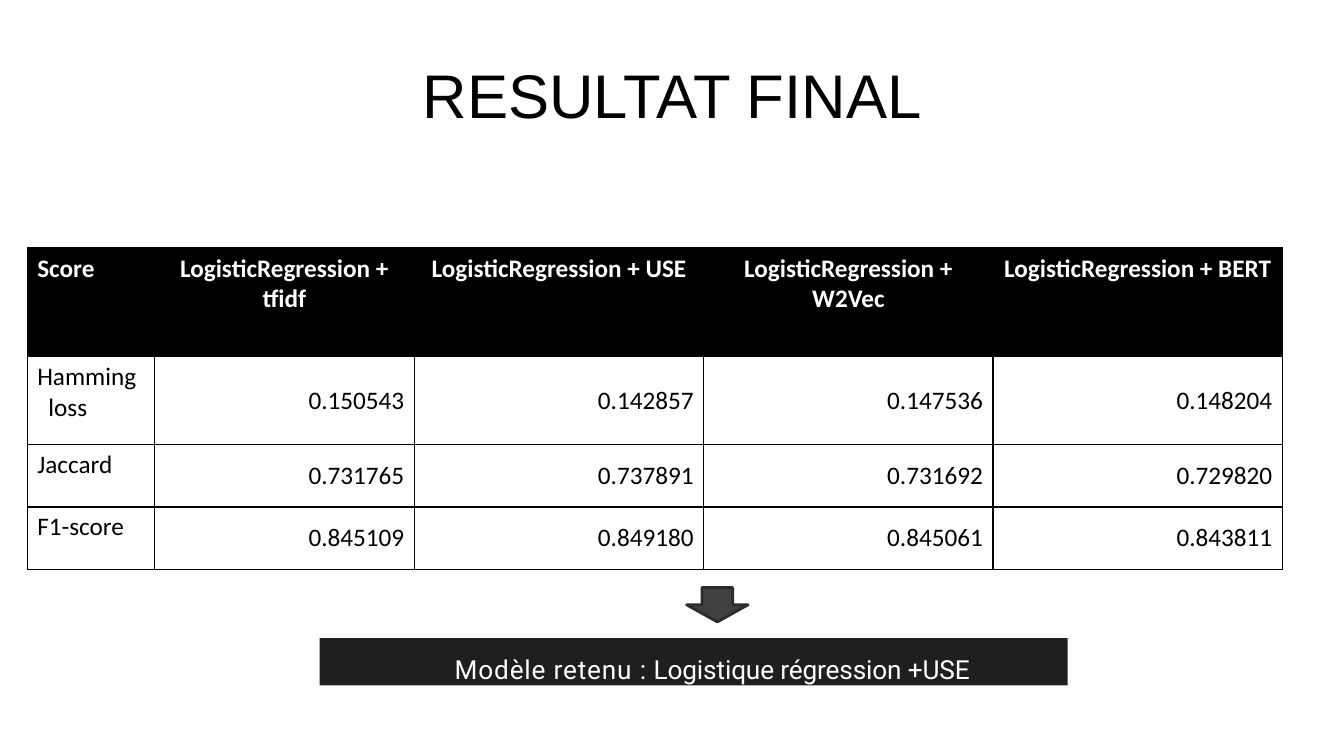
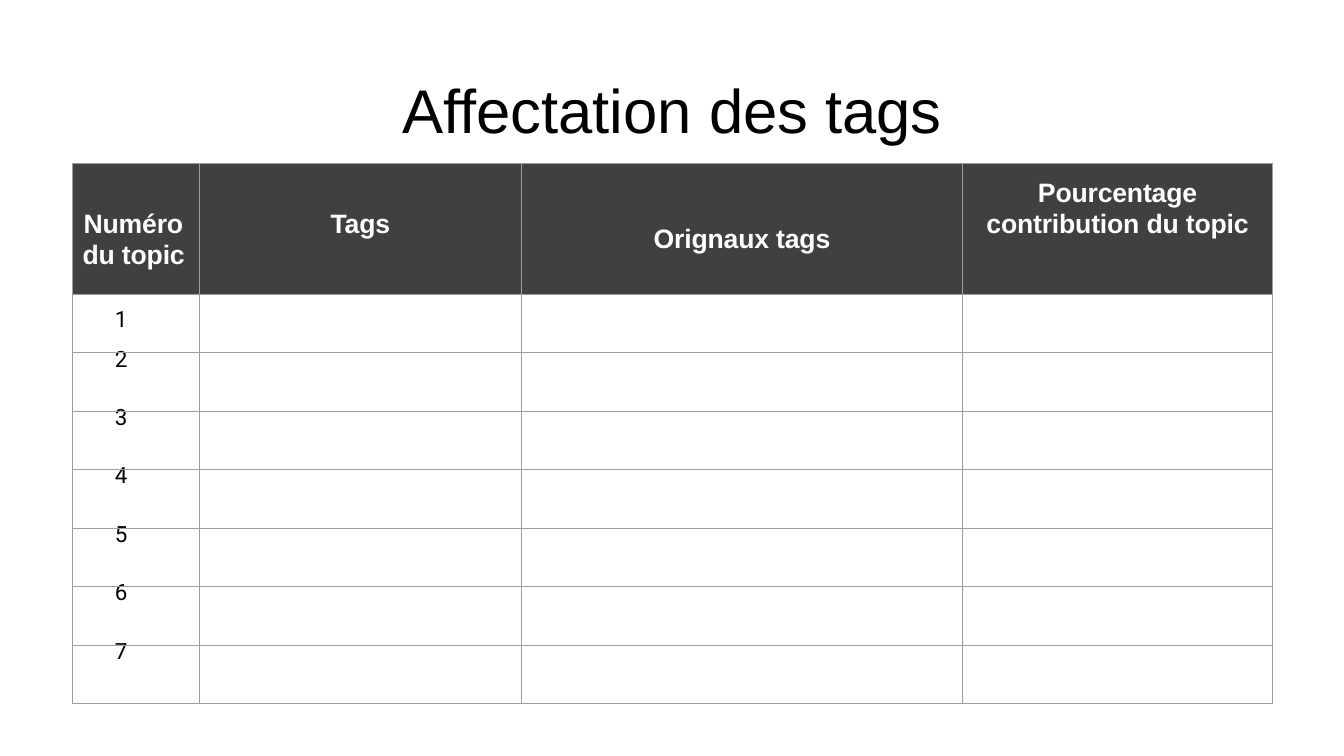
from dataclasses import dataclass, replace
from typing import Optional

import lxml.etree
import pptx
import pptx.dml.color
import pptx.enum.shapes
import pptx.enum.text
import pptx.oxml.ns
import pptx.util

Inches = pptx.util.Inches
Pt = pptx.util.Pt
Align = pptx.enum.text.PP_ALIGN
Anchor = pptx.enum.text.MSO_ANCHOR


@dataclass(frozen=True)
class Theme:
    black: str = "000000"
    white: str = "FFFFFF"
    charcoal: str = "404040"
    arrow_edge: str = "2C2C2C"
    banner: str = "1F1F1F"
    grid: str = "9E9E9E"
    title_size: float = 44
    score_size: float = 18
    banner_size: float = 18.7
    topic_header_size: float = 19
    topic_size: float = 16
    title_font: str = "Arial"
    score_font: str = "Calibri"
    body_font: str = "Roboto"


THEME = Theme()


@dataclass(frozen=True)
class TextStyle:
    font: str
    size: float
    color: str
    bold: bool = False
    spacing: float = 0


@dataclass(frozen=True)
class Line:
    text: str
    align: Align = Align.LEFT
    indent: float = 0
    before: float = 0
    height: Optional[float] = None


@dataclass(frozen=True)
class Cell:
    lines: tuple[Line, ...]
    style: TextStyle
    fill: Optional[str] = None
    anchor: Anchor = Anchor.TOP
    top: float = 0.05
    side: float = 0.1


@dataclass(frozen=True)
class TableLayout:
    left: float
    top: float
    columns: tuple[float, ...]
    rows: tuple[float, ...]
    border_color: str
    border_width: float


TITLE = TextStyle(THEME.title_font, THEME.title_size, THEME.black)
SCORE = TextStyle(THEME.score_font, THEME.score_size, THEME.black)
SCORE_HEADER = replace(SCORE, color=THEME.white, bold=True)
BANNER = TextStyle(THEME.body_font, THEME.banner_size, THEME.white)
TOPIC = TextStyle(THEME.body_font, THEME.topic_size, THEME.black)
TOPIC_HEADER = TextStyle(THEME.title_font, THEME.topic_header_size, THEME.white, True, -0.1)

SCORE_TABLE = TableLayout(0.27, 2.46, (1.26, 2.58) + (2.87,) * 3, (1.08, 0.87, 0.62, 0.62), THEME.black, 1)
TOPIC_TABLE = TableLayout(0.72, 1.62, (1.26, 3.19, 4.38, 3.07), (1.3,) + (0.58,) * 7, THEME.grid, 0.75)

MODELS = ("tfidf", "USE", "W2Vec", "BERT")
SCORES = (
    (("Hamming", "loss"), ("0.150543", "0.142857", "0.147536", "0.148204")),
    (("Jaccard",), ("0.731765", "0.737891", "0.731692", "0.729820")),
    (("F1-score",), ("0.845109", "0.849180", "0.845061", "0.843811")),
)


def rgb(color: str) -> pptx.dml.color.RGBColor:
    return pptx.dml.color.RGBColor.from_string(color)


def format_run(run, style: TextStyle) -> None:
    run.font.name = style.font
    run.font.size = Pt(style.size)
    run.font.bold = style.bold
    run.font.color.rgb = rgb(style.color)
    if style.spacing:
        run._r.get_or_add_rPr().set("spc", str(round(style.spacing * 100)))


def indent_paragraph(paragraph, indent: float) -> None:
    properties = paragraph._p.get_or_add_pPr()
    properties.set("marL", str(Inches(indent)))
    properties.set("indent", "0")


def write_lines(text_frame, lines: tuple[Line, ...], style: TextStyle) -> None:
    text_frame.text = "\n".join(line.text for line in lines)
    for paragraph, line in zip(text_frame.paragraphs, lines):
        paragraph.alignment = line.align
        indent_paragraph(paragraph, line.indent)
        if line.before:
            paragraph.space_before = Pt(line.before)
        if line.height:
            paragraph.line_spacing = Pt(line.height)
        for run in paragraph.runs:
            format_run(run, style)


def border_cell(cell, color: str, width: float) -> None:
    qualified = pptx.oxml.ns.qn
    properties = cell._tc.get_or_add_tcPr()
    for side in ("a:lnL", "a:lnR", "a:lnT", "a:lnB"):
        border = lxml.etree.SubElement(properties, qualified(side), w=str(Pt(width)))
        solid = lxml.etree.SubElement(border, qualified("a:solidFill"))
        lxml.etree.SubElement(solid, qualified("a:srgbClr"), val=color)


def draw_table(slide, layout: TableLayout, content: list[list[Cell]]) -> None:
    table = slide.shapes.add_table(
        len(layout.rows), len(layout.columns), Inches(layout.left), Inches(layout.top),
        Inches(sum(layout.columns)), Inches(sum(layout.rows)),
    ).table
    table.first_row = table.horz_banding = False
    for column, width in zip(table.columns, layout.columns):
        column.width = Inches(width)
    for row, height, row_content in zip(table.rows, layout.rows, content):
        row.height = Inches(height)
        for cell, entry in zip(row.cells, row_content):
            cell.margin_left = cell.margin_right = Inches(entry.side)
            cell.margin_top = Inches(entry.top)
            cell.margin_bottom = Inches(entry.side / 2)
            cell.vertical_anchor = entry.anchor
            border_cell(cell, layout.border_color, layout.border_width)
            if entry.fill:
                cell.fill.solid()
                cell.fill.fore_color.rgb = rgb(entry.fill)
            else:
                cell.fill.background()
            if entry.lines:
                write_lines(cell.text_frame, entry.lines, entry.style)


def add_titled_slide(presentation, text: str, height: float):
    slide = presentation.slides.add_slide(presentation.slide_layouts[5])
    title = slide.shapes.title
    title.left, title.top = Inches(0.92), Inches(0.4)
    title.width, title.height = Inches(11.5), Inches(height)
    title.text_frame.vertical_anchor = Anchor.MIDDLE
    write_lines(title.text_frame, (Line(text, Align.CENTER),), TITLE)
    title.text_frame.paragraphs[0].line_spacing = 0.9
    return slide


def add_filled_shape(slide, kind, left: float, top: float, width: float, height: float, color: str):
    shape = slide.shapes.add_shape(kind, Inches(left), Inches(top), Inches(width), Inches(height))
    shape.shadow.inherit = False
    shape.fill.solid()
    shape.fill.fore_color.rgb = rgb(color)
    shape.line.fill.background()
    return shape


def score_cells() -> list[list[Cell]]:
    header = [Cell((Line("Score"),), SCORE_HEADER, THEME.black)]
    header += [
        Cell((Line(f"LogisticRegression + {model}", Align.CENTER),), SCORE_HEADER, THEME.black)
        for model in MODELS
    ]
    rows = [header]
    for labels, values in SCORES:
        label_lines = tuple(Line(label, indent=0.11 * index) for index, label in enumerate(labels))
        rows.append(
            [Cell(label_lines, SCORE)]
            + [Cell((Line(value, Align.RIGHT),), SCORE, anchor=Anchor.MIDDLE) for value in values]
        )
    return rows


def topic_cells() -> list[list[Cell]]:
    headers = (
        (0.46, (Line("Numéro", indent=0.11), Line("du topic", indent=0.1, before=1.2))),
        (0.46, (Line("Tags", Align.CENTER),)),
        (0.68, (Line("Orignaux tags", Align.CENTER, height=16.2),)),
        (0.22, (Line("Pourcentage", Align.CENTER, height=16.2),
                Line("contribution du topic", Align.CENTER, before=1.2))),
    )
    rows = [[Cell(lines, TOPIC_HEADER, THEME.charcoal, top=top, side=0) for top, lines in headers]]
    for number in range(1, len(TOPIC_TABLE.rows)):
        line = Line(str(number), indent=0.42, height=14)
        top = 0.19 if number == 1 else 0
        rows.append([Cell((line,), TOPIC, top=top, side=0)] + [Cell((), TOPIC)] * 3)
    return rows


def build_results(presentation) -> None:
    slide = add_titled_slide(presentation, "RESULTAT FINAL", 1.15)
    draw_table(slide, SCORE_TABLE, score_cells())
    shapes = pptx.enum.shapes.MSO_SHAPE
    arrow = add_filled_shape(slide, shapes.DOWN_ARROW, 6.81, 5.83, 0.61, 0.34, THEME.charcoal)
    arrow.line.color.rgb = rgb(THEME.arrow_edge)
    arrow.line.width = Pt(2)
    banner = add_filled_shape(slide, shapes.RECTANGLE, 3.17, 6.33, 7.42, 0.47, THEME.banner)
    frame = banner.text_frame
    frame.margin_left = frame.margin_right = frame.margin_bottom = 0
    frame.margin_top = Inches(0.15)
    frame.vertical_anchor = Anchor.TOP
    paragraph = frame.paragraphs[0]
    paragraph.alignment = Align.LEFT
    indent_paragraph(paragraph, 1.34)
    for text, spacing in (("Modèle retenu :", 0.6), (" Logistique régression +USE", -0.1)):
        run = paragraph.add_run()
        run.text = text
        format_run(run, replace(BANNER, spacing=spacing))


def build_topics(presentation) -> None:
    slide = add_titled_slide(presentation, "Affectation des tags", 1.45)
    draw_table(slide, TOPIC_TABLE, topic_cells())


def main() -> None:
    presentation = pptx.Presentation()
    presentation.slide_width = Inches(13.33)
    presentation.slide_height = Inches(7.5)
    build_results(presentation)
    build_topics(presentation)
    presentation.save("out.pptx")


if __name__ == "__main__":
    main()
